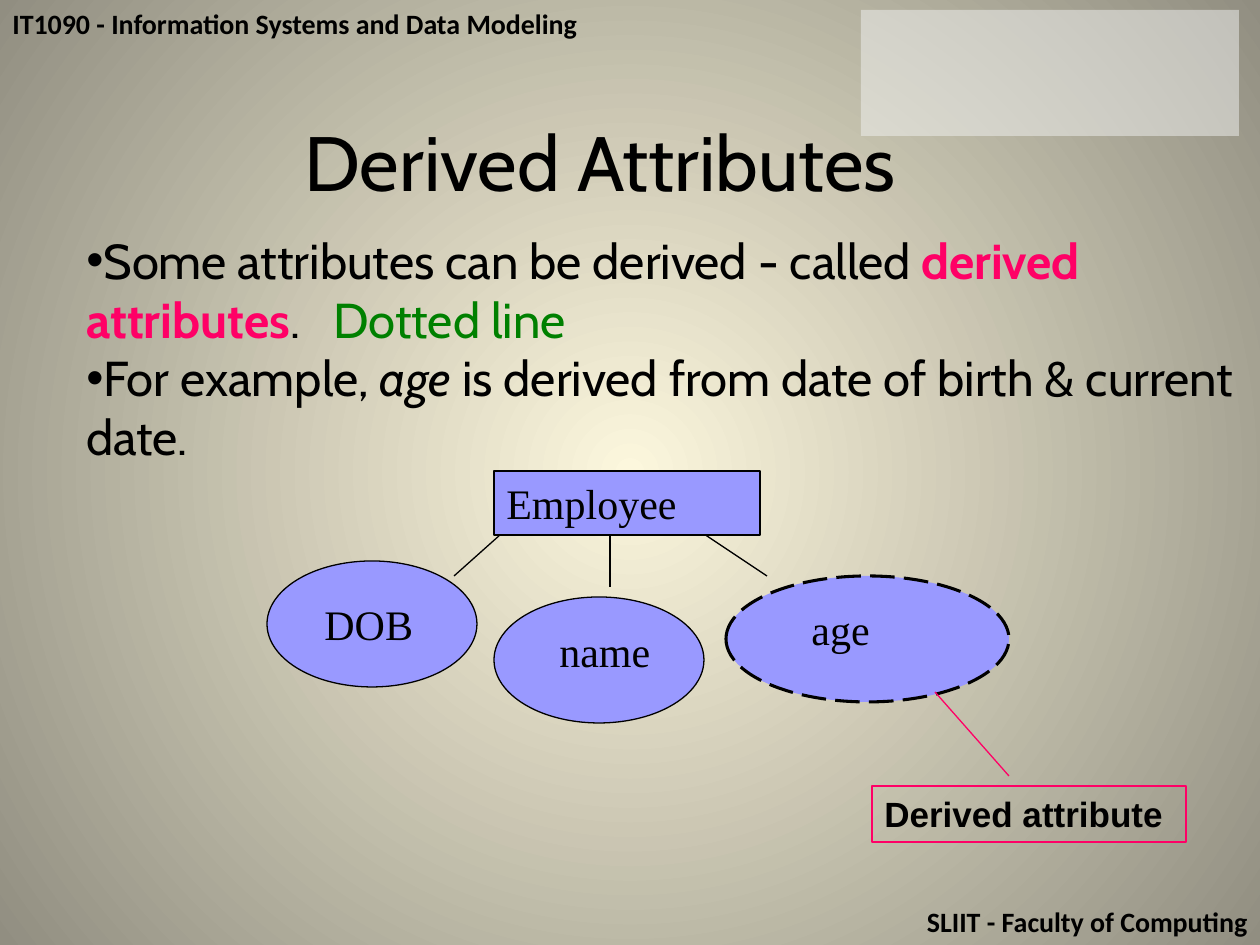
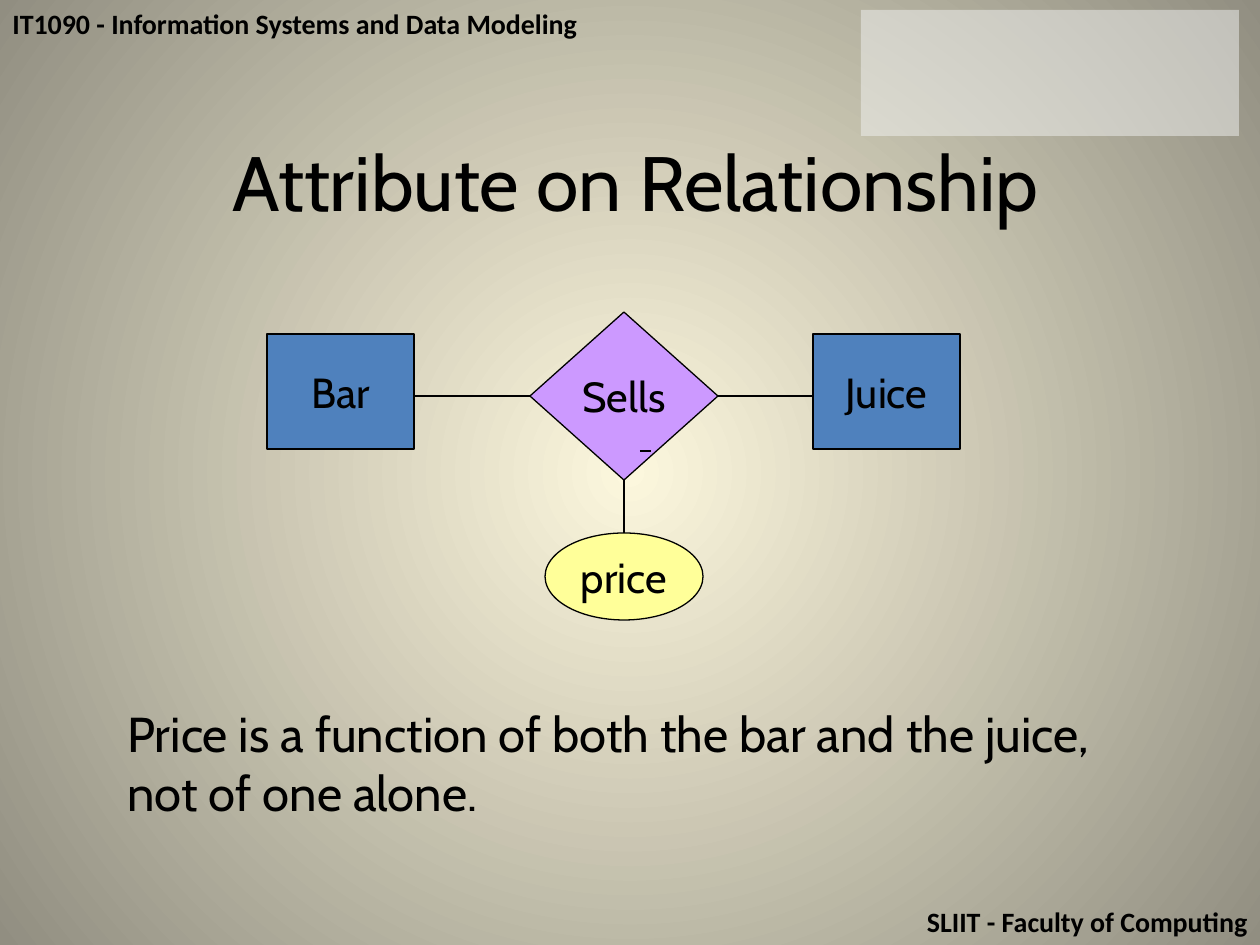
"""Two slides on derived attributes and relationship attributes in ER models."""
from dataclasses import dataclass

from pptx import Presentation
from pptx import util as u
from pptx.dml.color import RGBColor
from pptx.enum import dml, shapes, text
from pptx.oxml import parse_xml
from pptx.oxml.ns import nsdecls, qn


@dataclass(frozen=True)
class Theme:
    ink: str = "000000"
    accent: str = "FF0066"
    green: str = "008000"
    lilac: str = "9999FF"
    blue: str = "4F81BD"
    purple: str = "CC99FF"
    yellow: str = "FFFF99"
    panel: str = "F2F2F2"
    centre: str = "FCF7DD"
    edge: str = "918E81"
    sans: str = "Cabin"
    serif: str = "Times New Roman"
    band: str = "Calibri"
    callout: str = "Arial"
    title_pt: int = 44
    body_pt: int = 28
    node_pt: int = 24
    callout_pt: int = 20
    band_pt: int = 16
    thin: float = 0.75
    thick: float = 1.75


T = Theme()
SLIDE = (1260, 945)
KIND = shapes.MSO_SHAPE
LEFT, CENTER, RIGHT = text.PP_ALIGN.LEFT, text.PP_ALIGN.CENTER, text.PP_ALIGN.RIGHT
TOP, MIDDLE = text.MSO_ANCHOR.TOP, text.MSO_ANCHOR.MIDDLE

HEADER = "IT1090 - Information Systems and Data Modeling"
FOOTER = "SLIIT - Faculty of Computing"
BAND_H = 47
PANEL = (861, 10, 378, 126)

DERIVED_TITLE = ("Derived Attributes", (161, 108, 878, 106))
DERIVED_BODY = [
    [("Some attributes can be derived - called ", {}),
     ("derived attributes", {"color": T.accent, "bold": True}),
     (".\t", {}),
     ("Dotted line", {"color": T.green})],
    [("For example, ", {}),
     ("age", {"italic": True}),
     (" is derived from date of birth & current date.", {})],
]
DERIVED_BODY_BOX = (74, 224, 1186, 615)
DOTTED_TAB = 247
ENTITY = ("Employee", (494, 471, 266, 64))
ATTRIBUTES = [
    ("name", (494, 597, 210, 126), (547, 619, 126, 63), False),
    ("age", (726, 576, 283, 126), (799, 597, 96, 63), True),
    ("DOB", (267, 561, 210, 126), (312, 592, 126, 63), False),
]
ATTRIBUTE_LINES = [(610, 587, 610, 534), (767, 576, 704, 534), (454, 576, 500, 535)]
CALLOUT = ("Derived attribute", (872, 786, 314, 56))
CALLOUT_LINE = (935, 692, 1009, 776)

RELATION_TITLE = ("Attribute on Relationship", (84, 128, 1104, 131))
RELATION_NODES = [
    ("Bar", KIND.RECTANGLE, (267, 334, 147, 115), T.blue),
    ("Juice", KIND.RECTANGLE, (813, 334, 147, 115), T.blue),
    ("Sells", KIND.DIAMOND, (530, 312, 188, 168), T.purple),
    ("price", KIND.OVAL, (545, 533, 158, 87), T.yellow),
]
SELLS_LINES = [
    (3, (718, 396, 813, 396), None),
    (1, (530, 396, 414, 396), None),
    (2, (624, 480, 624, 533), "price"),
]
TICK_LINE = (640, 451, 651, 451)
RELATION_NOTE = ["Price is a function of both the bar and the juice,", "not of one alone."]
RELATION_NOTE_BOX = (115, 697, 1051, 131)


def px(n):
    return u.Emu(round(n * u.Inches(1) / 126))


def rgb(value):
    return RGBColor.from_string(value)


def style(r, size, font, color=T.ink, bold=False, italic=False):
    r.font.size, r.font.name = u.Pt(size), font
    r.font.bold, r.font.italic = bold, italic
    r.font.color.rgb = rgb(color)


def write(sp, lines, size, font, align=LEFT, anchor=TOP, wrap=True, bold=False):
    tf = sp.text_frame
    tf.word_wrap, tf.vertical_anchor = wrap, anchor
    for i, line in enumerate(lines):
        p = tf.add_paragraph() if i else tf.paragraphs[0]
        p.alignment = align
        if isinstance(line, str):
            p.text = line
            style(p.runs[0], size, font, bold=bold)
            continue
        for words, extra in line:
            r = p.add_run()
            r.text = words
            style(r, size, font, **extra)
    return tf


def label(s, box, lines, size, font, **options):
    return write(s.shapes.add_textbox(*map(px, box)), lines, size, font, **options)


def outline(sp, color, width=T.thin):
    sp.line.color.rgb = rgb(color)
    sp.line.width = u.Pt(width)


def shape(s, kind, box, fill=None, line=T.ink, width=T.thin):
    sp = s.shapes.add_shape(kind, *map(px, box))
    sp.shadow.inherit = False
    if fill:
        sp.fill.solid()
        sp.fill.fore_color.rgb = rgb(fill)
    else:
        sp.fill.background()
    if line:
        outline(sp, line, width)
    else:
        sp.line.fill.background()
    return sp


def connect(s, ends, color=T.ink):
    c = s.shapes.add_connector(shapes.MSO_CONNECTOR.STRAIGHT, *map(px, ends))
    outline(c, color)
    c.element.spPr.append(parse_xml(f"<a:effectLst {nsdecls('a')}/>"))
    return c


def bullet(p, tab):
    pPr = p._p.get_or_add_pPr()
    pPr.set("marL", "0")
    pPr.set("indent", "0")
    for tag in ('buFont {} typeface="Arial"/>', 'buChar {} char="•"/>'):
        pPr.append(parse_xml("<a:" + tag.format(nsdecls("a"))))
    pPr.append(parse_xml(
        f'<a:tabLst {nsdecls("a")}><a:tab pos="{px(tab)}" algn="l"/></a:tabLst>'))


def paint_background(master):
    fill = master.background.fill
    fill.gradient()
    for stop, color, at in zip(fill.gradient_stops, (T.centre, T.edge), (0, 1)):
        stop.color.rgb = rgb(color)
        stop.position = at
    grad = next(master.element.iter(qn("a:gradFill")))
    grad.replace(grad.find(qn("a:lin")), parse_xml(
        f'<a:path {nsdecls("a")} path="circle">'
        '<a:fillToRect l="50000" t="50000" r="50000" b="50000"/></a:path>'))


def add_slide(prs, title):
    s = prs.slides.add_slide(prs.slide_layouts[6])
    width, height = SLIDE
    for words, top, align in ((HEADER, 0, LEFT), (FOOTER, height - BAND_H, RIGHT)):
        label(s, (0, top, width, BAND_H), [words], T.band_pt, T.band, align=align, bold=True)
    panel = shape(s, KIND.RECTANGLE, PANEL, T.panel, None)
    color = next(panel.element.spPr.iter(qn("a:srgbClr")))
    color.append(parse_xml(f'<a:alpha {nsdecls("a")} val="50000"/>'))
    words, box = title
    label(s, box, [words], T.title_pt, T.sans, align=CENTER)
    return s


def derived_slide(prs):
    s = add_slide(prs, DERIVED_TITLE)
    tf = label(s, DERIVED_BODY_BOX, DERIVED_BODY, T.body_pt, T.sans)
    for p in tf.paragraphs:
        bullet(p, DOTTED_TAB)
    for name, oval, box, derived in ATTRIBUTES:
        sp = shape(s, KIND.OVAL, oval, T.lilac, width=T.thick if derived else T.thin)
        if derived:
            sp.line.dash_style = dml.MSO_LINE.LONG_DASH
        label(s, box, [name], T.node_pt, T.serif)
    for ends in ATTRIBUTE_LINES:
        connect(s, ends)
    words, box = ENTITY
    write(shape(s, KIND.RECTANGLE, box, T.lilac), [words], T.node_pt, T.serif)
    words, box = CALLOUT
    write(shape(s, KIND.RECTANGLE, box, line=T.accent), [words],
          T.callout_pt, T.callout, bold=True)
    connect(s, CALLOUT_LINE, T.accent)


def relation_slide(prs):
    s = add_slide(prs, RELATION_TITLE)
    nodes = {}
    for name, kind, box, fill in RELATION_NODES:
        nodes[name] = shape(s, kind, box, fill)
        write(nodes[name], [name], T.node_pt, T.sans,
              align=CENTER, anchor=MIDDLE, wrap=False)
    for side, ends, target in SELLS_LINES:
        c = connect(s, ends)
        c.begin_connect(nodes["Sells"], side)
        if target:
            c.end_connect(nodes[target], 0)
    connect(s, TICK_LINE)
    label(s, RELATION_NOTE_BOX, RELATION_NOTE, T.body_pt, T.sans)


def main():
    prs = Presentation()
    prs.slide_width, prs.slide_height = map(px, SLIDE)
    paint_background(prs.slide_master)
    derived_slide(prs)
    relation_slide(prs)
    prs.save("out.pptx")


if __name__ == "__main__":
    main()
